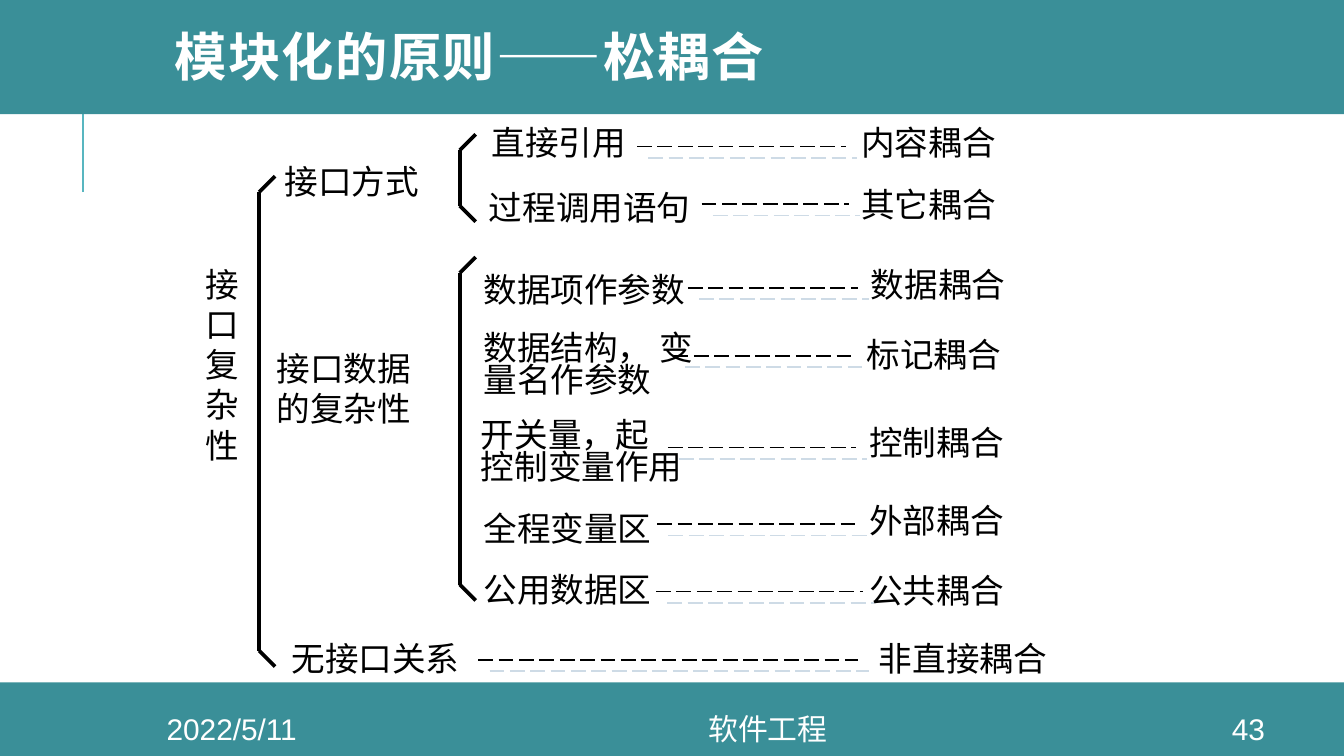
from dataclasses import dataclass

from lxml.etree import SubElement
from pptx import Presentation
from pptx.dml.color import RGBColor as RGB
from pptx.enum.dml import MSO_LINE_DASH_STYLE as Dash
from pptx.enum.shapes import MSO_CONNECTOR_TYPE as Connector, MSO_SHAPE as Shape
from pptx.enum.text import MSO_ANCHOR as Anchor, MSO_AUTO_SIZE as AutoSize, PP_ALIGN as Align
from pptx.oxml.ns import qn
from pptx.util import Cm, Pt


@dataclass(frozen=True)
class Theme:
    band: str = "3A8F98"
    accent: str = "58B6C0"
    ink: str = "000000"
    light: str = "FFFFFF"
    shade: str = "CEDBE6"
    title_font: str = "Montserrat"
    body_font: str = "Arial"
    title_size: int = 28
    body_size: int = 18
    footer_size: int = 16


def write(frame, text, *, size, color, font, bold=False, align=Align.LEFT,
          spacing=1.0, tracking=None):
    """Fill a text frame, one paragraph per line of text."""
    for index, words in enumerate(text.split("\n")):
        paragraph = frame.add_paragraph() if index else frame.paragraphs[0]
        paragraph.alignment = align
        paragraph.line_spacing = spacing
        run = paragraph.add_run()
        run.text = words
        run.font.size = Pt(size)
        run.font.name = font
        run.font.bold = bold
        run.font.color.rgb = RGB.from_string(color)
        if tracking:
            run.font._element.set("spc", str(round(tracking * 100)))


class SlideBuilder:
    def __init__(self, slide, theme):
        self.slide = slide
        self.theme = theme

    def band(self, top, height):
        band = self.slide.shapes.add_shape(
            Shape.RECTANGLE, Cm(0), Cm(top), Cm(25.4), Cm(height))
        band.shadow.inherit = False
        band.fill.solid()
        band.fill.fore_color.rgb = RGB.from_string(self.theme.band)
        band.line.fill.background()

    def line(self, x1, y1, x2, y2, color, width, dashed=False):
        line = self.slide.shapes.add_connector(
            Connector.STRAIGHT, Cm(x1), Cm(y1), Cm(x2), Cm(y2))
        line.line.color.rgb = RGB.from_string(color)
        line.line.width = Pt(width)
        if dashed:
            line.line.dash_style = Dash.LONG_DASH
        effects = SubElement(line._element.spPr, qn("a:effectLst"))
        return effects

    def leader(self, x1, x2, y):
        """Dashed line with a hard diagonal shadow."""
        effects = self.line(x1, y, x2, y, self.theme.ink, 1, dashed=True)
        shadow = SubElement(effects, qn("a:outerShdw"), dist=str(Pt(8.5)),
                            dir=str(45 * 60000), algn="ctr", rotWithShape="0")
        SubElement(shadow, qn("a:srgbClr"), val=self.theme.shade)

    def bracket(self, x, top, bottom, tick=0.3):
        for x2, y1, y2 in ((x, top, bottom), (x + tick, top, top - tick),
                           (x + tick, bottom, bottom + tick)):
            self.line(x, y1, x2, y2, self.theme.ink, 2)

    def box(self, x, y, width, height, inset_x, inset_y):
        frame = self.slide.shapes.add_textbox(
            Cm(x), Cm(y), Cm(width), Cm(height)).text_frame
        frame.word_wrap = True
        frame.margin_left = frame.margin_right = Cm(inset_x)
        frame.margin_top = frame.margin_bottom = Cm(inset_y)
        return frame

    def title(self, text):
        frame = self.box(3.05, 0, 21.56, 2.31, 0.25, 0.13)
        frame.vertical_anchor = Anchor.MIDDLE
        write(frame, text, size=self.theme.title_size, color=self.theme.light,
              font=self.theme.title_font, bold=True, spacing=0.8, tracking=0.8)

    def footer(self, text, x, width):
        frame = self.box(x, 13.49, width, 0.58, 0.25, 0)
        frame.vertical_anchor = Anchor.MIDDLE
        write(frame, text, size=self.theme.footer_size, color=self.theme.light,
              font=self.theme.body_font, align=Align.CENTER)

    def label(self, text, x, y, width, height=0.97, wrap=False, spacing=1.0):
        frame = self.box(x, y, width, height, 0.2, 0.1)
        frame.word_wrap = wrap
        frame.auto_size = AutoSize.SHAPE_TO_FIT_TEXT
        write(frame, text, size=self.theme.body_size, color=self.theme.ink,
              font=self.theme.body_font, spacing=spacing)


# Cause label (text, x, y, width, height, wrap, spacing),
# leader (x1, x2, y), coupling label (text, x, y, width)
COUPLINGS = [
    (("直接引用", 9.09, 2.21, 2.97), (12.04, 15.98, 2.77),
     ("内容耦合", 16.08, 2.21, 3.66)),
    (("过程调用语句", 9.04, 3.43, 4.27), (13.26, 16.05, 3.86),
     ("其它耦合", 16.08, 3.38, 3.66)),
    (("数据项作参数", 8.94, 4.98, 4.27), (13.0, 16.21, 5.44),
     ("数据耦合", 16.26, 4.88, 3.66)),
    (("数据结构， 变量名作参数", 8.94, 6.22, 4.37, 1.42, True, 0.8),
     (12.73, 16.08, 6.73), ("标记耦合", 16.18, 6.22, 3.66)),
    (("开关量，起\n控制变量作用", 8.89, 7.87, 4.27, 1.42, False, 0.8),
     (12.62, 16.18, 8.46), ("控制耦合", 16.23, 7.87, 3.66)),
    (("全程变量区", 8.94, 9.65, 3.61, 0.81, False, 0.8),
     (12.42, 16.23, 9.91), ("外部耦合", 16.23, 9.35, 3.66)),
    (("公用数据区", 8.94, 10.8, 3.61, 0.81, False, 0.8),
     (12.4, 16.31, 11.18), ("公共耦合", 16.23, 10.67, 3.66)),
    (("无接口关系", 5.31, 11.96, 3.61), (9.04, 16.21, 12.47),
     ("非直接耦合", 16.41, 11.96, 4.37)),
]


def main():
    deck = Presentation()
    deck.slide_width, deck.slide_height = Cm(25.4), Cm(14.29)
    theme = Theme()
    builder = SlideBuilder(deck.slides.add_slide(deck.slide_layouts[6]), theme)

    # Frame of the slide
    builder.line(1.57, 3.63, 1.57, 1.73, theme.accent, 1.5)
    builder.band(12.9, 1.39)
    builder.band(-0.08, 2.24)
    builder.title("模块化的原则——松耦合")
    for text, x, width in (("2022/5/11", 2.13, 4.5), ("软件工程", 6.63, 15.77),
                           ("43", 22.58, 2.03)):
        builder.footer(text, x, width)

    # Root and branches of the tree
    builder.label("\n".join("接口复杂性"), 3.68, 4.88, 1.35, 4.04, wrap=True)
    builder.label("接口方式", 5.18, 2.95, 2.97)
    builder.label("接口数据\n的复杂性", 5.03, 6.48, 2.97, 1.73)
    for x, top, bottom in ((4.9, 3.63, 12.3), (8.69, 2.84, 3.89),
                           (8.69, 5.16, 11.05)):
        builder.bracket(x, top, bottom)

    # Each cause leads to its kind of coupling
    for cause, leader, coupling in COUPLINGS:
        builder.label(*cause)
        builder.leader(*leader)
        builder.label(*coupling, wrap=True)

    deck.save("out.pptx")


if __name__ == "__main__":
    main()
